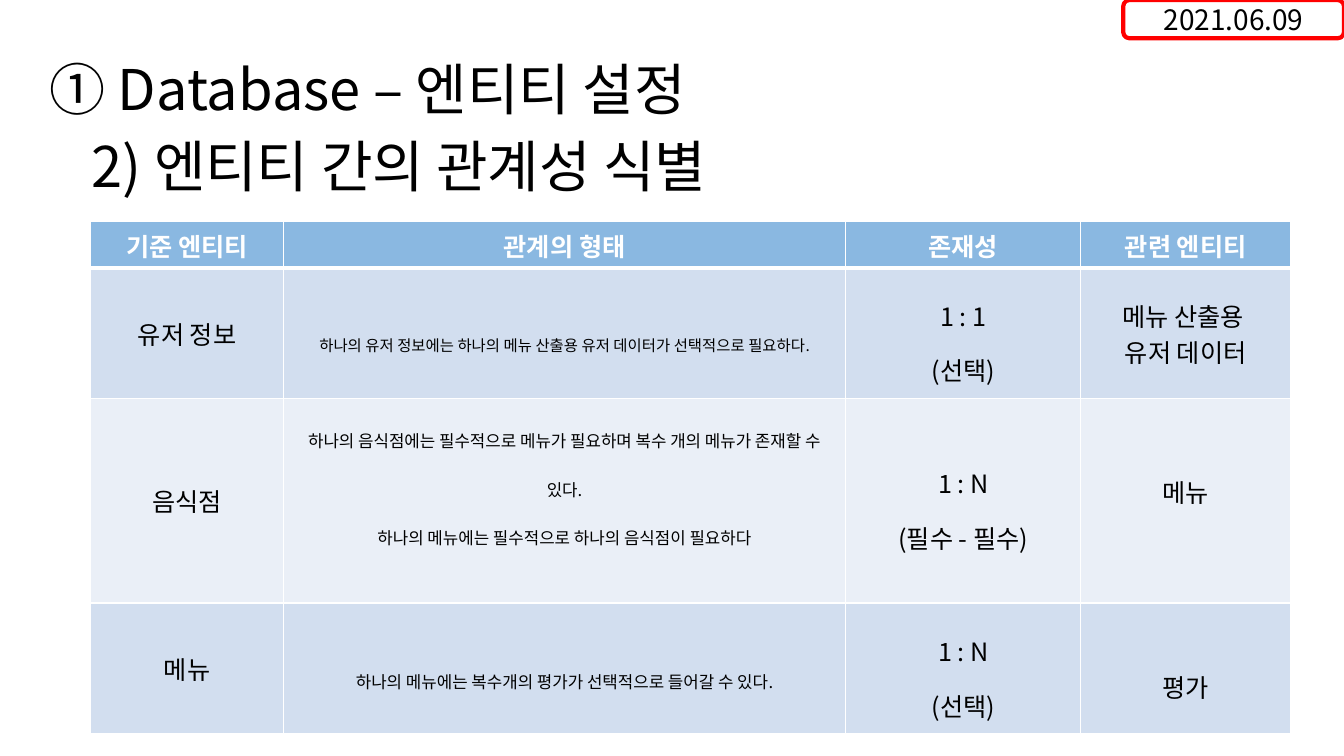
from typing import NamedTuple

from lxml.etree import SubElement
from pptx import Presentation
from pptx.dml.color import RGBColor
from pptx.enum.shapes import MSO_SHAPE as Shape
from pptx.enum.text import MSO_ANCHOR as Anchor, MSO_AUTO_SIZE as AutoSize, PP_ALIGN as Align
from pptx.oxml.ns import qn
from pptx.util import Inches, Pt

FONT = "Noto Sans CJK KR"
COLORS = {"text": "000000", "white": "FFFFFF", "header": "5B9BD5",
          "band_dark": "D2DEEF", "band_light": "EAEFF7", "date": "FF0000"}


class Entry(NamedTuple):
    text: str
    size: float = 18
    spacing: float = 1.0
    extra_top: float = 0
    extra_bottom: float = 0


class Relation(NamedTuple):
    height: float
    band: str
    entries: tuple[Entry, ...]


HEADINGS = Relation(0.46, "header", tuple(
    Entry(heading) for heading in ("기준 엔티티", "관계의 형태", "존재성", "관련 엔티티")))
RELATIONS = (
    HEADINGS,
    Relation(1.29, "band_dark", (
        Entry("유저 정보"),
        Entry("하나의 유저 정보에는 하나의 메뉴 산출용 유저 데이터가 선택적으로 필요하다.", 11, 2),
        Entry("1 : 1\n(선택)", spacing=1.5),
        Entry("메뉴 산출용 \n유저 데이터"))),
    Relation(2.03, "band_light", (
        Entry("음식점"),
        Entry("하나의 음식점에는 필수적으로 메뉴가 필요하며 복수 개의 메뉴가 존재할 수 있다.\n"
              "하나의 메뉴에는 필수적으로 하나의 음식점이 필요하다", 12, 2, extra_bottom=0.48),
        Entry("1 : N\n(필수 - 필수)", spacing=1.5),
        Entry("메뉴", extra_bottom=0.18))),
    Relation(1.3, "band_dark", (
        Entry("메뉴"),
        Entry("하나의 메뉴에는 복수개의 평가가 선택적으로 들어갈 수 있다.", 12, 2),
        Entry("1 : N\n(선택)", spacing=1.5),
        Entry("평가", extra_top=0.36))),
)
COLUMN_WIDTHS = (1.91, 5.58, 2.33, 2.08)


def rgb(color: str) -> RGBColor:
    return RGBColor.from_string(COLORS[color])


def write(frame, text: str, size: float, color: str = "text", bold: bool = False,
          align: Align = Align.CENTER, spacing: float = 1.0) -> None:
    frame.text = text
    for paragraph in frame.paragraphs:
        paragraph.alignment = align
        paragraph.line_spacing = spacing
        for run in paragraph.runs:
            run.font.name = FONT
            run.font.size = Pt(size)
            run.font.bold = bold
            run.font.color.rgb = rgb(color)
            SubElement(run.font._element, qn("a:ea"), typeface=FONT)


def write_heading(box, left: float, top: float, text: str) -> None:
    box.left, box.top, box.width, box.height = map(Inches, (left, top, 9.55, 0.71))
    frame = box.text_frame
    frame.word_wrap = True
    frame.auto_size = AutoSize.NONE
    frame.vertical_anchor = Anchor.BOTTOM
    write(frame, text, 40, align=Align.LEFT, spacing=0.9)


def add_borders(cell, top: float, bottom: float) -> None:
    properties = cell._tc.get_or_add_tcPr()
    for side, width in (("L", 1), ("R", 1), ("T", top), ("B", bottom)):
        line = SubElement(properties, qn(f"a:ln{side}"), w=str(Pt(width)))
        fill = SubElement(line, qn("a:solidFill"))
        SubElement(fill, qn("a:srgbClr"), val=COLORS["white"])


def fill_cell(cell, entry: Entry, band: str, above_is_header: bool) -> None:
    is_header = band == "header"
    add_borders(cell, 3 if above_is_header else 1, 3 if is_header else 1)
    cell.fill.solid()
    cell.fill.fore_color.rgb = rgb(band)
    if is_header:
        color = cell._tc.tcPr.find(qn("a:solidFill")).find(qn("a:srgbClr"))
        SubElement(color, qn("a:alpha"), val="71000")
    cell.vertical_anchor = Anchor.MIDDLE
    cell.margin_top = Inches(0.05 + entry.extra_top)
    cell.margin_bottom = Inches(0.05 + entry.extra_bottom)
    write(cell.text_frame, entry.text, entry.size, "white" if is_header else "text",
          is_header, spacing=entry.spacing)


def add_relations(slide) -> None:
    height = sum(relation.height for relation in RELATIONS)
    table = slide.shapes.add_table(
        len(RELATIONS), len(COLUMN_WIDTHS), Inches(0.9), Inches(2.2),
        Inches(sum(COLUMN_WIDTHS)), Inches(height)).table
    for column, width in zip(table.columns, COLUMN_WIDTHS):
        column.width = Inches(width)
    for index, (row, relation) in enumerate(zip(table.rows, RELATIONS)):
        row.height = Inches(relation.height)
        for cell, entry in zip(row.cells, relation.entries):
            fill_cell(cell, entry, relation.band, index == 1)


def add_date(slide) -> None:
    date = slide.shapes.add_shape(
        Shape.ROUNDED_RECTANGLE, Inches(11.14), Inches(0), Inches(2.19), Inches(0.38))
    date.shadow.inherit = False
    date.fill.background()
    date.line.color.rgb = rgb("date")
    date.line.width = Pt(3)
    date.text_frame.vertical_anchor = Anchor.MIDDLE
    write(date.text_frame, "2021.06.09", 20)


def main() -> None:
    deck = Presentation()
    deck.slide_width, deck.slide_height = Inches(13.33), Inches(7.5)
    slide = deck.slides.add_slide(deck.slide_layouts.get_by_name("Title Only"))

    # Title and subtitle
    write_heading(slide.shapes.title, 0.39, 0.56, "① Database – 엔티티 설정")
    subtitle = slide.shapes.add_textbox(0, 0, 0, 0)
    write_heading(subtitle, 0.81, 1.32, "2) 엔티티 간의 관계성 식별")

    # Entity relations and date
    add_relations(slide)
    add_date(slide)
    deck.save("out.pptx")


if __name__ == "__main__":
    main()
